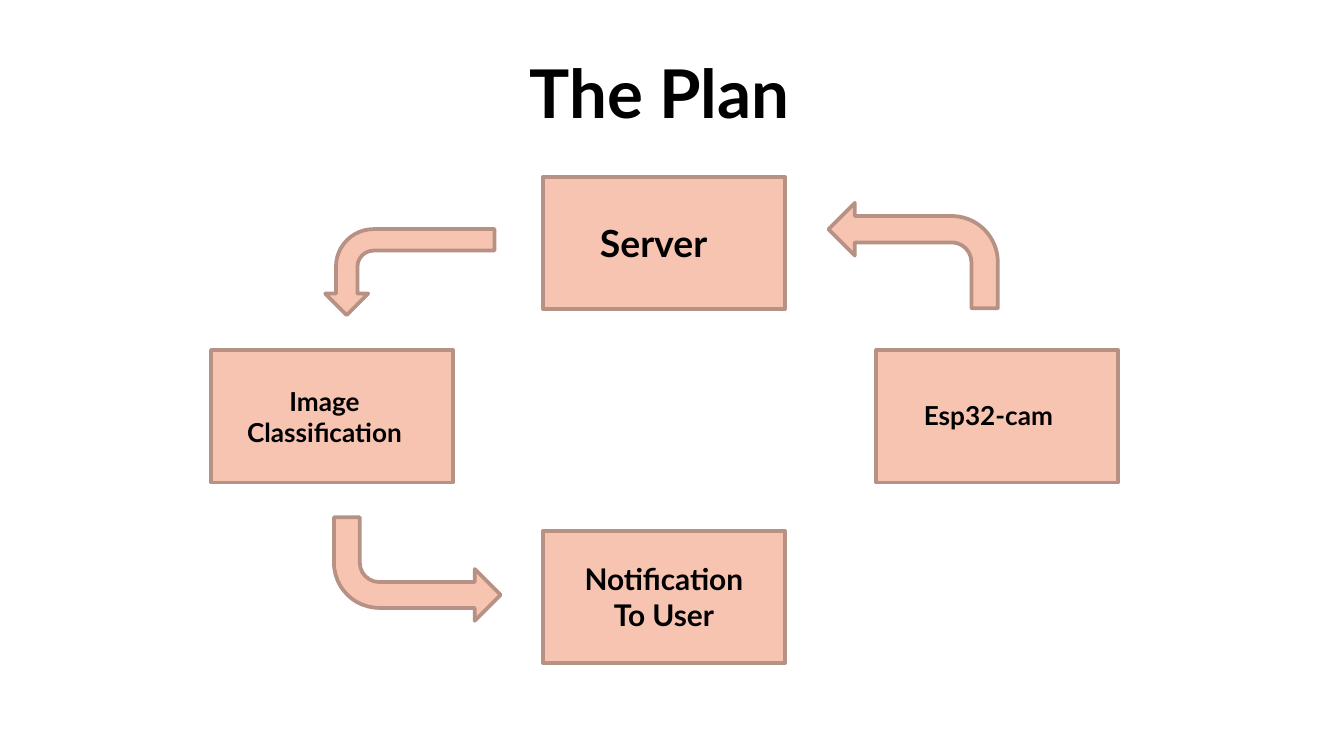
import pptx
import pptx.util
import pptx.dml.color
import pptx.enum.shapes
import pptx.enum.text

PX = 4572  # EMU per px, 200 px to the inch
COLORS = {"fill": "F7C4B1", "line": "B79183", "text": "000000", "bg": "FFFFFF"}
FONT = "Lato"
SHAPE = pptx.enum.shapes.MSO_SHAPE
ALIGN = pptx.enum.text.PP_ALIGN
BOX_W, BOX_H = 360, 197


def emu(*lengths):
    return [pptx.util.Emu(n * PX) for n in lengths]


def rgb(name):
    return pptx.dml.color.RGBColor.from_string(COLORS[name])


def write(tf, lines, size, align):
    tf.word_wrap = True
    tf.auto_size = pptx.enum.text.MSO_AUTO_SIZE.NONE
    tf.vertical_anchor = pptx.enum.text.MSO_ANCHOR.TOP
    for i, line in enumerate(lines):
        p = tf.paragraphs[0] if i == 0 else tf.add_paragraph()
        p.alignment = align
        r = p.add_run()
        r.text = line
        r.font.name = FONT
        r.font.size = pptx.util.Pt(size)
        r.font.bold = True
        r.font.color.rgb = rgb("text")


def add_title(s, box, text):
    sp = s.shapes.title
    sp.left, sp.top, sp.width, sp.height = emu(*box)
    write(sp.text_frame, [text], 36, ALIGN.LEFT)
    p = sp.text_frame.paragraphs[0]
    p.line_spacing = 1.0
    p.space_before = pptx.util.Pt(0)


def add_outlined(s, kind, box):
    sp = s.shapes.add_shape(kind, *emu(*box))
    sp.shadow.inherit = False
    sp.fill.solid()
    sp.fill.fore_color.rgb = rgb("fill")
    sp.line.color.rgb = rgb("line")
    sp.line.width = pptx.util.Pt(2)
    return sp


def add_step(s, x, y, label, lines, size, align):
    """Box at x, y with a label placed relative to its corner."""
    add_outlined(s, SHAPE.RECTANGLE, (x, y, BOX_W, BOX_H))
    dx, dy, w, h = label
    sp = s.shapes.add_textbox(*emu(x + dx, y + dy, w, h))
    write(sp.text_frame, lines, size, align)


def add_bent_arrow(s, box, flip, rotation=0):
    sp = add_outlined(s, SHAPE.BENT_ARROW, box)
    sp.rotation = rotation
    sp._element.spPr.xfrm.set(flip, "1")


def main():
    prs = pptx.Presentation()
    prs.slide_width, prs.slide_height = emu(2000, 1125)
    s = prs.slides.add_slide(prs.slide_layouts[5])
    s.background.fill.solid()
    s.background.fill.fore_color.rgb = rgb("bg")

    add_title(s, (768, 66, 438, 142), "The Plan")

    # Steps: x, y, label box, lines, text size, alignment
    steps = [
        (808, 263, (65, 55, 230, 88), ["Server"], 20, ALIGN.LEFT),
        (314, 521, (31, 42, 276, 114), ["Image", "Classification"], 14, ALIGN.CENTER),
        (1304, 521, (51, 64, 258, 68), ["Esp32-cam"], 14, ALIGN.LEFT),
        (808, 790, (23, 35, 314, 128), ["Notification", "To User"], 16, ALIGN.CENTER),
    ]
    for step in steps:
        add_step(s, *step)

    # Arrows: camera to server, server to classification, classification to user
    add_bent_arrow(s, (1233, 302, 252, 157), "flipH")
    add_bent_arrow(s, (546, 279, 128, 252), "flipH", 270)
    add_bent_arrow(s, (497, 770, 248, 154), "flipV")

    prs.save("out.pptx")


if __name__ == "__main__":
    main()
